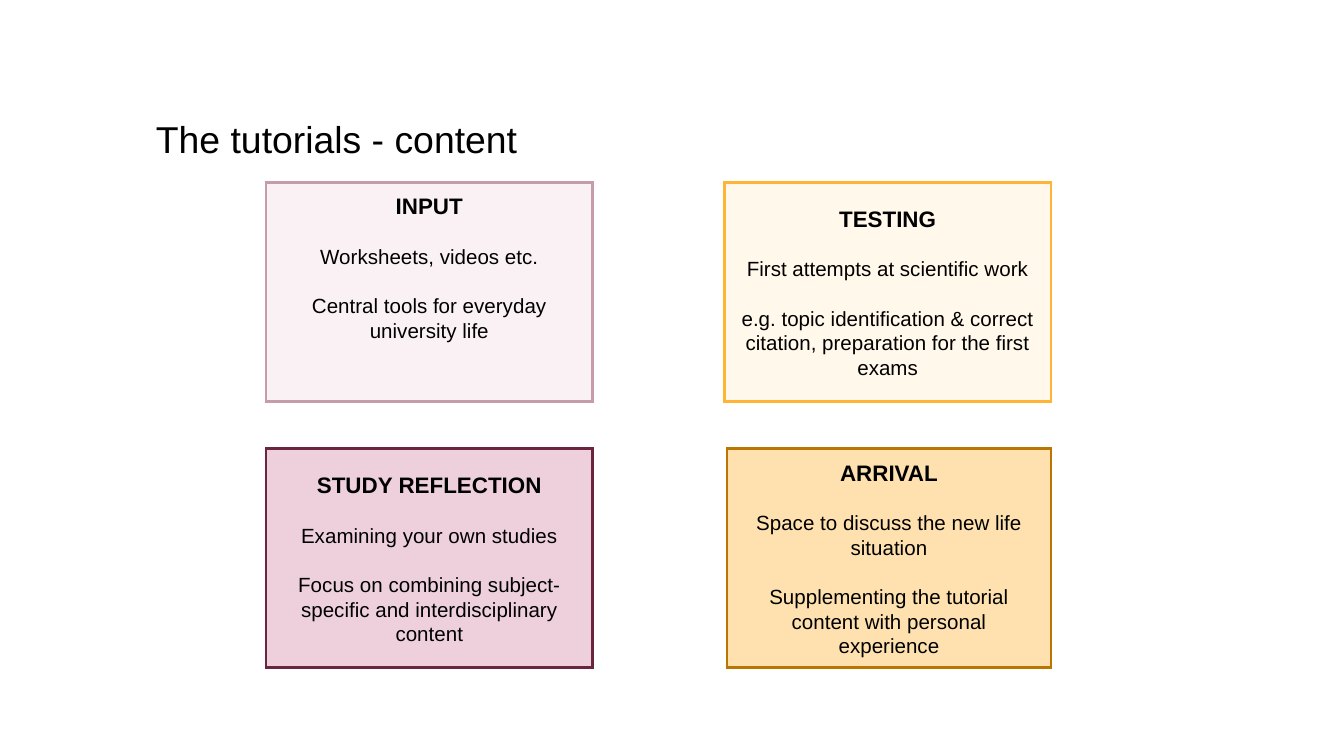
from dataclasses import dataclass

from pptx import Presentation
from pptx.dml.color import RGBColor
from pptx.enum.shapes import MSO_SHAPE
from pptx.enum.text import MSO_ANCHOR, PP_ALIGN
from pptx.oxml.ns import qn
from pptx.util import Inches, Pt
from lxml.etree import SubElement


@dataclass(frozen=True)
class Theme:
    font: str = "Arial"
    text: str = "000000"
    background: str = "FFFFFF"
    rose: tuple = ("FAF1F4", "C59CAB")  # fill, border
    plum: tuple = ("EED0DC", "6A2540")
    cream: tuple = ("FFF8EB", "FFB435")
    amber: tuple = ("FEE1AE", "BA7601")
    title_size: int = 20
    heading_size: int = 12
    body_size: int = 11
    paragraph_gap: float = 13.2
    border: float = 1.5


THEME = Theme()


def color(value):
    return RGBColor.from_string(value)


def style(para, size, bold=False):
    para.font.name = THEME.font
    para.font.size = Pt(size)
    para.font.bold = bold
    para.font.color.rgb = color(THEME.text)


def add_title(page, text, left, top, width, height):
    title = page.shapes.title
    title.left, title.top = Inches(left), Inches(top)
    title.width, title.height = Inches(width), Inches(height)
    frame = title.text_frame
    frame.text = text
    frame.word_wrap = True
    frame.vertical_anchor = MSO_ANCHOR.MIDDLE
    para = frame.paragraphs[0]
    para.alignment = PP_ALIGN.LEFT
    para.line_spacing = 0.9
    style(para, THEME.title_size)


def add_card(page, left, top, width, height, colors, lines, bottom_inset=0.05):
    """Bordered box with a bold heading above spaced body paragraphs."""
    card = page.shapes.add_shape(MSO_SHAPE.RECTANGLE, Inches(left), Inches(top),
                                 Inches(width), Inches(height))
    fill, border = colors
    card.shadow.inherit = False
    card.fill.solid()
    card.fill.fore_color.rgb = color(fill)
    card.line.color.rgb = color(border)
    card.line.width = Pt(THEME.border)
    # Square corners on the border
    outline = card.element.spPr.find(qn("a:ln"))
    SubElement(outline, qn("a:miter"), lim="800000")

    frame = card.text_frame
    frame.word_wrap = True
    frame.vertical_anchor = MSO_ANCHOR.MIDDLE
    frame.margin_bottom = Inches(bottom_inset)
    for index, line in enumerate(lines):
        heading = index == 0
        para = frame.paragraphs[0] if heading else frame.add_paragraph()
        para.text = line
        para.alignment = PP_ALIGN.CENTER
        if not heading:
            para.space_before = Pt(THEME.paragraph_gap)
        style(para, THEME.heading_size if heading else THEME.body_size, heading)


def add_content_grid(page, left, top, width, height):
    """Two by two cards set into the corners of the given box."""
    card_width, card_height = 2.43, 1.63
    arrival_width = 2.41
    right = left + width
    lower = top + height - card_height

    # Upper row; the input text sits high in its card
    add_card(page, left, top, card_width, card_height, THEME.rose,
             ["INPUT", "Worksheets, videos etc.",
              "Central tools for everyday university life"], bottom_inset=0.42)
    add_card(page, right - card_width, top, card_width, card_height, THEME.cream,
             ["TESTING", "First attempts at scientific work",
              "e.g. topic identification & correct citation, "
              "preparation for the first exams"])

    # Lower row
    add_card(page, left, lower, card_width, card_height, THEME.plum,
             ["STUDY REFLECTION", "Examining your own studies",
              "Focus on combining subject-specific and interdisciplinary content"])
    add_card(page, right - arrival_width, lower, arrival_width, card_height, THEME.amber,
             ["ARRIVAL", "Space to discuss the new life situation",
              "Supplementing the tutorial content with personal experience"])


def main():
    deck = Presentation()
    # Widescreen, 16:9
    deck.slide_width, deck.slide_height = Inches(10), Inches(10 * 9 / 16)
    page = deck.slides.add_slide(deck.slide_layouts.get_by_name("Title Only"))
    page.background.fill.solid()
    page.background.fill.fore_color.rgb = color(THEME.background)
    add_title(page, "The tutorials - content", 1.06, 0.71, 7.87, 0.69)
    add_content_grid(page, 1.98, 1.36, 5.84, 3.61)
    deck.save("out.pptx")


if __name__ == "__main__":
    main()
